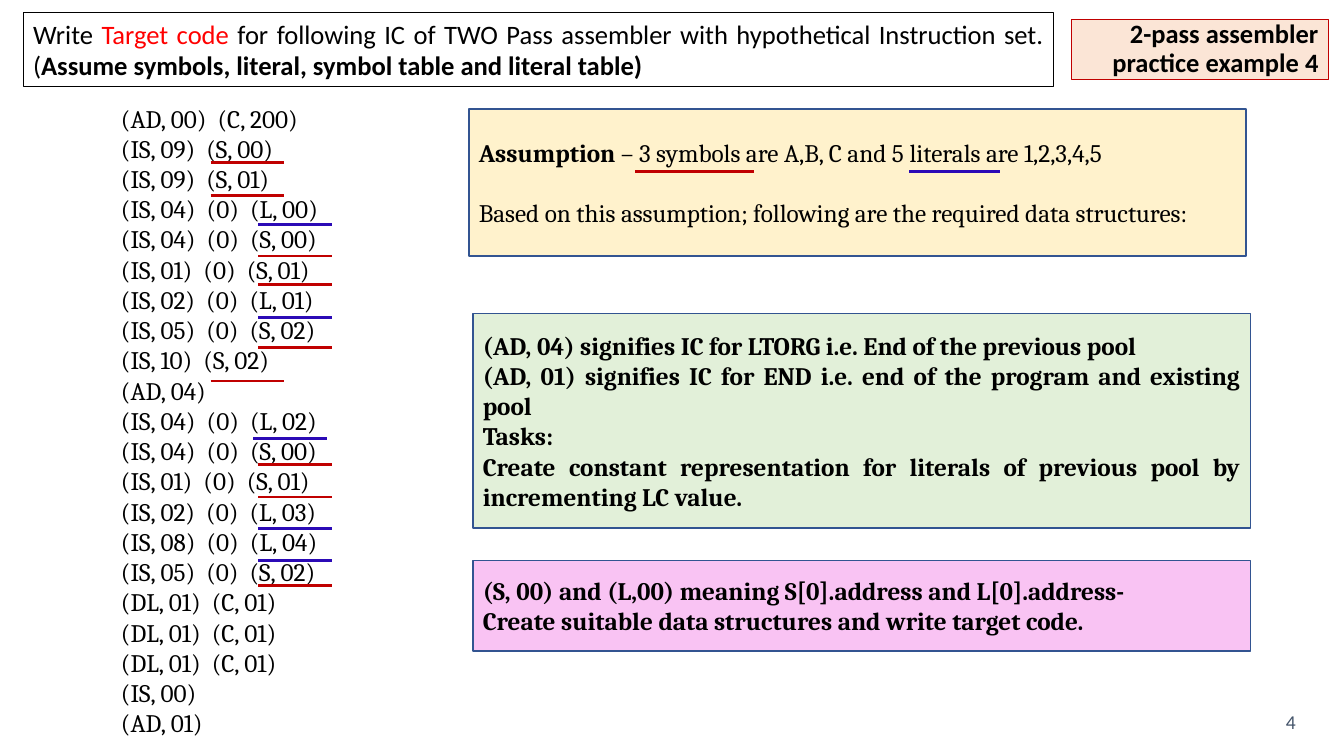
from pptx import Presentation
from pptx.dml.color import RGBColor
from pptx.enum.shapes import MSO_CONNECTOR, MSO_SHAPE
from pptx.enum.text import MSO_ANCHOR, MSO_AUTO_SIZE, PP_ALIGN
from pptx.oxml import parse_xml
from pptx.oxml.ns import nsdecls
from pptx.util import Inches, Pt

BLACK = RGBColor(0x00, 0x00, 0x00)
WHITE = RGBColor(0xFF, 0xFF, 0xFF)
RED = RGBColor(0xFF, 0x00, 0x00)
DARK_RED = RGBColor(0xC0, 0x00, 0x00)
VIOLET = RGBColor(0x2B, 0x0A, 0xB6)
BORDER_BLUE = RGBColor(0x32, 0x54, 0x91)
SLATE = RGBColor(0x44, 0x54, 0x6A)
PEACH = RGBColor(0xFB, 0xE5, 0xD6)
CREAM = RGBColor(0xFF, 0xF2, 0xCC)
MINT = RGBColor(0xE2, 0xF0, 0xD9)
PINK = RGBColor(0xF9, 0xC3, 0xF3)

INTERMEDIATE_CODE = [
    "(AD, 00)  (C, 200)",
    "(IS, 09)  (S, 00)",
    "(IS, 09)  (S, 01)",
    "(IS, 04)  (0)  (L, 00)",
    "(IS, 04)  (0)  (S, 00)",
    "(IS, 01)  (0)  (S, 01)",
    "(IS, 02)  (0)  (L, 01)",
    "(IS, 05)  (0)  (S, 02)",
    "(IS, 10)  (S, 02)",
    "(AD, 04)",
    "(IS, 04)  (0)  (L, 02)",
    "(IS, 04)  (0)  (S, 00)",
    "(IS, 01)  (0)  (S, 01)",
    "(IS, 02)  (0)  (L, 03)",
    "(IS, 08)  (0)  (L, 04)",
    "(IS, 05)  (0)  (S, 02)",
    "(DL, 01)  (C, 01)",
    "(DL, 01)  (C, 01)",
    "(DL, 01)  (C, 01)",
    "(IS, 00)",
    "(AD, 01)",
]

# Underlines as (left, y, width); operands in the code share one width.
OPERAND = 0.73
SECOND, THIRD = 2.09, 2.56
SYMBOL_MARKS = [(SECOND, y, OPERAND) for y in (1.61, 1.94, 3.78)]
SYMBOL_MARKS += [(THIRD, y, OPERAND) for y in (2.54, 2.82, 3.45, 4.61, 4.93, 5.81)]
SYMBOL_MARKS += [(6.3, 1.7, 1.18)]
LITERAL_MARKS = [(THIRD, y, OPERAND) for y in (2.23, 3.15, 5.24, 5.56)]
LITERAL_MARKS += [(2.51, 4.35, OPERAND), (9.02, 1.7, 0.9)]


def place(shape, left, top, width, height):
    """Move and size a shape, lengths in inches."""
    shape.left, shape.top = Inches(left), Inches(top)
    shape.width, shape.height = Inches(width), Inches(height)


def paint(shape, fill, line, weight):
    """Give a shape its fill and outline."""
    shape.fill.solid()
    shape.fill.fore_color.rgb = fill
    shape.line.color.rgb = line
    shape.line.width = Pt(weight)


def style_run(run, font, size, color=BLACK, bold=False):
    """Format one run of text."""
    run.font.name, run.font.size = font, Pt(size)
    run.font.color.rgb, run.font.bold = color, bold


def prepare_frame(shape):
    """Wrap and centre the text vertically at a fixed size."""
    frame = shape.text_frame
    frame.word_wrap = True
    frame.auto_size = MSO_AUTO_SIZE.NONE
    frame.vertical_anchor = MSO_ANCHOR.MIDDLE
    return frame


def add_panel(slide, box, fill, line, weight, paragraphs, font, size, gap=0):
    """Add a justified text panel; each paragraph lists (text, color, bold)."""
    panel = slide.shapes.add_shape(MSO_SHAPE.RECTANGLE, *map(Inches, box))
    panel.shadow.inherit = False
    paint(panel, fill, line, weight)
    frame = prepare_frame(panel)
    for index, pieces in enumerate(paragraphs):
        paragraph = frame.add_paragraph() if index else frame.paragraphs[0]
        paragraph.alignment = PP_ALIGN.JUSTIFY
        paragraph.space_before = Pt(gap if index else 0)
        for text, color, bold in pieces:
            run = paragraph.add_run()
            run.text = text
            style_run(run, font, size, color, bold)


def add_note(slide, box, fill, paragraphs, gap=0):
    """Add a Cambria panel with a blue border."""
    add_panel(slide, box, fill, BORDER_BLUE, 1, paragraphs, "Cambria", 18, gap)


def bold_lines(*lines):
    """Make one bold black paragraph from each line."""
    return [[(line, BLACK, True)] for line in lines]


def fill_title(title):
    """Format the topic label at the top right."""
    place(title, 10.63, 0.19, 2.55, 0.6)
    paint(title, PEACH, DARK_RED, 0.75)
    frame = prepare_frame(title)
    frame.text = "2-pass assembler practice example 4"
    label = frame.paragraphs[0]
    label.alignment, label.line_spacing = PP_ALIGN.RIGHT, 0.9
    style_run(label.runs[0], "Calibri", 18.9, bold=True)


def fill_code(body):
    """List the intermediate code without bullets."""
    place(body, 1.1, 0.94, 3.18, 6.46)
    frame = prepare_frame(body)
    frame.text = "\n".join(INTERMEDIATE_CODE)
    for paragraph in frame.paragraphs:
        paragraph.alignment = PP_ALIGN.LEFT
        paragraph.space_before = Pt(0)
        properties = paragraph._p.get_or_add_pPr()
        properties.set("marL", "0")
        properties.set("indent", "0")
        properties.append(parse_xml(f"<a:buNone {nsdecls('a')}/>"))
        style_run(paragraph.runs[0], "Cambria", 18)


def add_underlines(slide, marks, color):
    """Add one group of underlines in one colour."""
    group = slide.shapes.add_group_shape()
    for left, y, width in marks:
        underline = group.shapes.add_connector(
            MSO_CONNECTOR.STRAIGHT, Inches(left), Inches(y), Inches(left + width), Inches(y))
        underline.line.color.rgb = color
        underline.line.width = Pt(2)
        underline._element.spPr.append(parse_xml(f"<a:effectLst {nsdecls('a')}/>"))


def add_page_number(slide):
    """Add the page number at the bottom right."""
    number = slide.shapes.add_textbox(*map(Inches, (10.87, 6.91, 2.08, 0.5)))
    paragraph = prepare_frame(number).paragraphs[0]
    paragraph.text = "4"
    paragraph.alignment = PP_ALIGN.RIGHT
    style_run(paragraph.runs[0], "Calibri", 14, SLATE)


def main():
    """Build the practice example slide."""
    deck = Presentation()
    deck.slide_width, deck.slide_height = Inches(13.33), Inches(7.5)
    slide = deck.slides.add_slide(deck.slide_layouts[1])
    fill_title(slide.shapes.title)
    fill_code(slide.placeholders[1])
    add_page_number(slide)

    question = [[
        ("Write ", BLACK, False),
        ("Target code ", RED, False),
        ("for following IC of TWO Pass assembler with hypothetical Instruction set. (",
         BLACK, False),
        ("Assume symbols, literal, symbol table and literal table)", BLACK, True),
    ]]
    add_panel(slide, (0.23, 0.12, 10.22, 0.74), WHITE, BLACK, 0.75, question, "Calibri", 19)

    assumption = [
        [("Assumption", BLACK, True),
         (" – 3 symbols are A,B, C and 5 literals are 1,2,3,4,5", BLACK, False)],
        [("Based on this assumption; following are the required data structures:",
          BLACK, False)],
    ]
    add_note(slide, (4.65, 1.08, 7.71, 1.46), CREAM, assumption, gap=21.6)
    add_note(slide, (4.69, 3.11, 7.71, 2.13), MINT, bold_lines(
        "(AD, 04) signifies IC for LTORG i.e. End of the previous pool",
        "(AD, 01) signifies IC for END i.e. end of the program and existing pool",
        "Tasks:",
        "Create constant representation for literals of previous pool by incrementing LC value."))
    add_note(slide, (4.69, 5.56, 7.71, 0.9), PINK, bold_lines(
        "(S, 00) and (L,00) meaning S[0].address and L[0].address-",
        "Create suitable data structures and write target code."))

    add_underlines(slide, SYMBOL_MARKS, DARK_RED)
    add_underlines(slide, LITERAL_MARKS, VIOLET)
    deck.save("out.pptx")


main()
